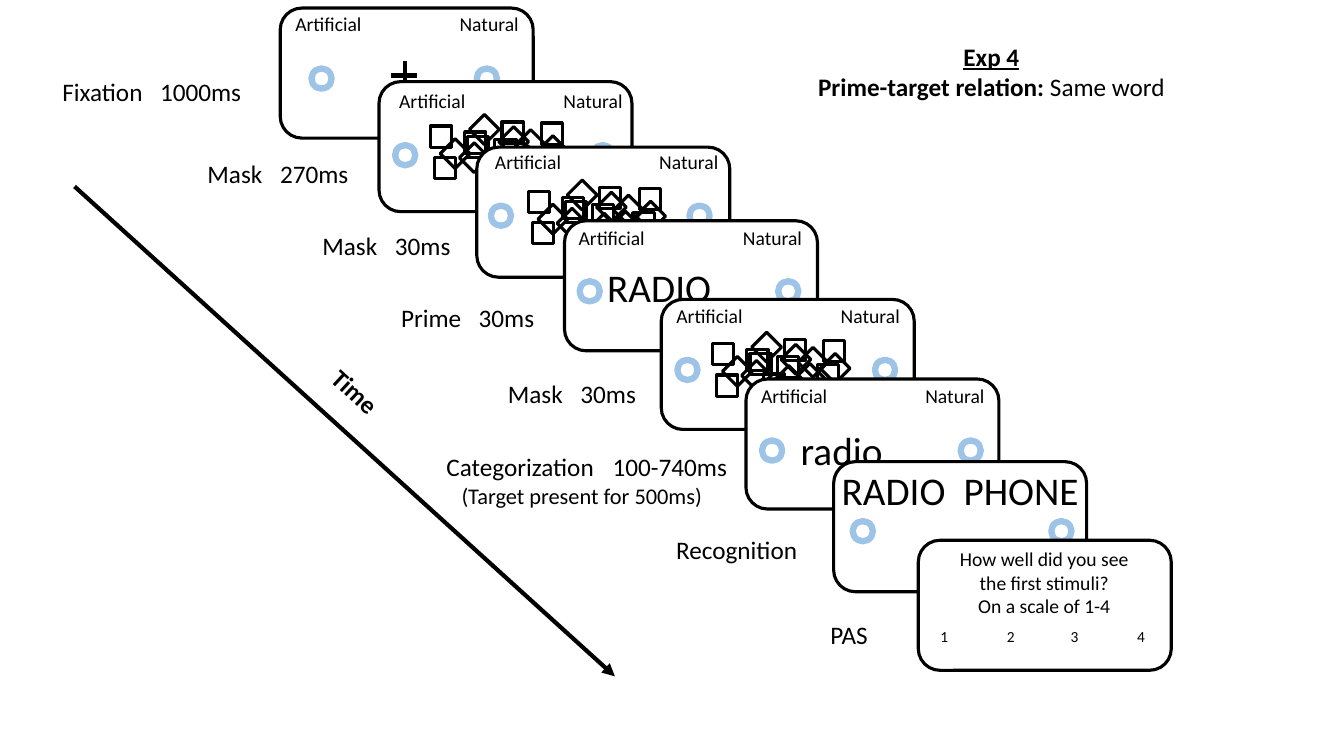
"""Build a slide showing the trial sequence of a priming experiment."""
from dataclasses import dataclass, field

from lxml.etree import SubElement
from pptx import Presentation
from pptx.dml.color import RGBColor
from pptx.enum.shapes import MSO_CONNECTOR, MSO_SHAPE
from pptx.enum.text import MSO_AUTO_SIZE, PP_ALIGN
from pptx.oxml.ns import qn
from pptx.util import Emu, Inches, Pt

BLACK = RGBColor(0x00, 0x00, 0x00)
WHITE = RGBColor(0xFF, 0xFF, 0xFF)
BLUE = RGBColor(0x9D, 0xC3, 0xE6)

CELL = Inches(0.1)
COLUMNS, ROWS = 133.33, 75
CARD_WIDTH, CARD_HEIGHT = 25.1, 12.9
RING_SIZE, SQUARE_SIZE = 2, 2.1
INSET = 1

BOLD = {"bold": True}
HEADING = {"bold": True, "underline": True}


@dataclass(frozen=True)
class Run:
    text: str
    style: dict = field(default_factory=dict)


@dataclass(frozen=True)
class Line:
    runs: tuple[Run, ...]
    size: float = 18
    align: PP_ALIGN = PP_ALIGN.LEFT
    tabs: tuple[float, ...] = ()
    indent: float = 0


@dataclass(frozen=True)
class Label:
    left: float
    top: float
    width: float
    height: float
    lines: tuple[Line, ...]
    lead: float = 0
    trail: float = 0
    rotation: float = 0


@dataclass(frozen=True)
class Square:
    left: float
    top: float
    rotation: float = 0


@dataclass(frozen=True)
class Stroke:
    start: tuple[float, float]
    end: tuple[float, float]
    arrow: bool = False


@dataclass(frozen=True)
class Card:
    left: float
    top: float
    rings: tuple[tuple[float, float], ...] = ()
    labels: tuple[Label, ...] = ()
    squares: tuple[Square, ...] = ()
    strokes: tuple[Stroke, ...] = ()


def plain(text: str, size: float = 18, align: PP_ALIGN = PP_ALIGN.LEFT,
          tabs: tuple[float, ...] = (), indent: float = 0) -> Line:
    return Line((Run(text),), size, align, tabs, indent)


def header(left: float = -1.2, top: float = 0, lead: float = 1.7) -> Label:
    return Label(left, top, 29.6, 3.4, (plain("Artificial\tNatural", 14, tabs=(16.3,)),), lead)


def word(text: str, left: float, top: float) -> Label:
    return Label(left, top, 21.6, 5.7, (plain(text, 28, PP_ALIGN.CENTER),), trail=6.2)


def rings(left: float, right: float, top: float) -> tuple[tuple[float, float], ...]:
    return (right, top), (left, top)


SHORT_MASK = tuple(
    [Square(left, top) for left, top in (
        (5.1, 4.4), (8.8, 5.4), (12.2, 4), (11.5, 5.7), (15.5, 6.5),
        (16.1, 4.1), (5.5, 7.5), (8.5, 5))]
    + [Square(left, top, 45) for left, top in (
        (9.4, 3.7), (14, 5.2), (6.5, 6.1), (11.6, 7), (16.2, 5.8),
        (8.4, 6.5), (12.3, 4.9), (13.7, 6.8))])
FULL_MASK = SHORT_MASK + (Square(10.1, 7.4),)

CROSS = (Stroke((12.4, 5.3), (12.4, 7.9)), Stroke((13.6, 6.7), (11, 6.7)))
CHOICE = Label(-1.2, 0, 27.4, 5.7, (plain("RADIO\tPHONE", 28, tabs=(12.1,)),), lead=1)
QUESTION = Label(1.7, 0.2, 21.6, 8.1, (
    plain("How well did you see the first stimuli?", 14, PP_ALIGN.CENTER),
    plain("On a scale of 1-4", 14, PP_ALIGN.CENTER)))
SCALE = Label(-0.1, 8.1, 25.1, 2.9, (plain("1\t2\t3\t4", 11, tabs=(6.6, 12.9, 19.5)),), lead=1.3)

CARDS = (
    Card(27.8, 0.8, rings(3.1, 19.5, 6), (header(top=-0.1),), strokes=CROSS),
    Card(37.6, 8.1, rings(1.6, 21.2, 6.3), (header(top=0.2, lead=2.2),), SHORT_MASK),
    Card(47.3, 14.6, rings(1.4, 21.1, 5.8), (header(-1.4, -0.2, 2.2),), FULL_MASK),
    Card(56, 21.9, rings(1.5, 21.2, 6), (word("RADIO", 1.7, 3.7), header(-1.3))),
    Card(65.6, 29.7, rings(1.6, 21.2, 6), (header(),), FULL_MASK),
    Card(74, 37.6, rings(1.6, 21.3, 6.1), (header(), word("radio", 1.8, 4.2))),
    Card(82.7, 45.8, rings(1.9, 21.6, 5.9), (CHOICE,)),
    Card(91.1, 53.6, labels=(QUESTION, SCALE)),
)

STAGES = (
    Label(19.6, 15.2, 18.4, 4, (plain("Mask\t270ms", tabs=(7.2,)),)),
    Label(31, 22.4, 16.3, 4, (plain("Mask\t30ms", tabs=(7.2,)),)),
    Label(38.8, 29.5, 17.1, 4, (plain("Prime\t30ms", tabs=(7.7,)),)),
    Label(49.4, 37, 16.6, 4, (plain("Mask\t30ms", tabs=(7.2,)),)),
    Label(43.3, 44.3, 32.2, 6.7, (
        plain("Categorization\t100-740ms", tabs=(16.5,)),
        plain("(Target present for 500ms)", 16, indent=1.5))),
    Label(5.2, 7.1, 22.1, 4, (plain("Fixation\t1000ms", tabs=(9.7,)),)),
    Label(66.1, 52.5, 17.2, 4, (plain("Recognition"),)),
    Label(81.4, 60.9, 7.6, 4, (plain("PAS"),)),
    Label(79.8, 3.6, 37.1, 7.1, (
        Line((Run("Exp 4", HEADING),), align=PP_ALIGN.CENTER),
        Line((Run("Prime-target relation: ", BOLD), Run("Same word")), align=PP_ALIGN.CENTER))),
)

TIME_ARROW = Stroke((7.4, 18.5), (61, 67.1), arrow=True)
TIME_LABEL = Label(29.9, 40.1, 17.2, 5.3, (Line((Run("Time", BOLD),)),), rotation=42.8)


def grid(*cells: float) -> list[Emu]:
    return [Emu(round(cell * CELL)) for cell in cells]


def draw_line(paragraph, line: Line) -> None:
    paragraph.alignment = line.align
    properties = paragraph._p.get_or_add_pPr()
    if line.indent:
        properties.set("marL", str(grid(line.indent)[0]))
    if line.tabs:
        stops = SubElement(properties, qn("a:tabLst"))
        for position in grid(*line.tabs):
            SubElement(stops, qn("a:tab"), pos=str(position), algn="l")
    for part in line.runs:
        run = paragraph.add_run()
        run.text = part.text
        run.font.color.rgb = BLACK
        for name, value in {"name": "Calibri", "size": Pt(line.size), **part.style}.items():
            setattr(run.font, name, value)


def draw_label(shapes, label: Label, left: float = 0, top: float = 0) -> None:
    box = shapes.add_textbox(*grid(left + label.left, top + label.top, label.width, label.height))
    box.rotation = label.rotation
    frame = box.text_frame
    margin_left, margin_right = grid(INSET + label.lead, INSET + label.trail)
    settings = {"word_wrap": True, "auto_size": MSO_AUTO_SIZE.SHAPE_TO_FIT_TEXT,
                "margin_left": margin_left, "margin_right": margin_right}
    for name, value in settings.items():
        setattr(frame, name, value)
    for index, line in enumerate(label.lines):
        draw_line(frame.add_paragraph() if index else frame.paragraphs[0], line)


def draw_shape(shapes, kind: MSO_SHAPE, box: tuple[float, ...], color: RGBColor = BLACK,
               weight: float = 2.25, filled: bool = False, rotation: float = 0) -> None:
    shape = shapes.add_shape(kind, *grid(*box))
    shape.shadow.inherit = False
    shape.rotation = rotation
    if filled:
        shape.fill.solid()
        shape.fill.fore_color.rgb = WHITE
    else:
        shape.fill.background()
    shape.line.color.rgb = color
    shape.line.width = Pt(weight)


def draw_stroke(shapes, stroke: Stroke, left: float = 0, top: float = 0) -> None:
    ends = [(left + column, top + row) for column, row in (stroke.start, stroke.end)]
    connector = shapes.add_connector(MSO_CONNECTOR.STRAIGHT, *grid(*ends[0], *ends[1]))
    connector.line.color.rgb = BLACK
    connector.line.width = Pt(3)
    if stroke.arrow:
        SubElement(connector.line._get_or_add_ln(), qn("a:tailEnd"), type="triangle")
    SubElement(connector._element.spPr, qn("a:effectLst"))


def draw_card(shapes, card: Card) -> None:
    left, top = card.left, card.top
    draw_shape(shapes, MSO_SHAPE.ROUNDED_RECTANGLE, (left, top, CARD_WIDTH, CARD_HEIGHT), filled=True)
    for stroke in card.strokes:
        draw_stroke(shapes, stroke, left, top)
    for square in card.squares:
        box = (left + square.left, top + square.top, SQUARE_SIZE, SQUARE_SIZE)
        draw_shape(shapes, MSO_SHAPE.RECTANGLE, box, rotation=square.rotation)
    for label in card.labels:
        draw_label(shapes, label, left, top)
    for column, row in card.rings:
        draw_shape(shapes, MSO_SHAPE.OVAL, (left + column, top + row, RING_SIZE, RING_SIZE), BLUE, 4.5)


def main() -> None:
    presentation = Presentation()
    presentation.slide_width, presentation.slide_height = grid(COLUMNS, ROWS)
    slide = presentation.slides.add_slide(presentation.slide_layouts[6])
    time_axis = slide.shapes.add_group_shape()
    draw_stroke(time_axis.shapes, TIME_ARROW)
    draw_label(time_axis.shapes, TIME_LABEL)
    for label in STAGES:
        draw_label(slide.shapes, label)
    for card in CARDS:
        draw_card(slide.shapes.add_group_shape().shapes, card)
    presentation.save("out.pptx")


if __name__ == "__main__":
    main()
